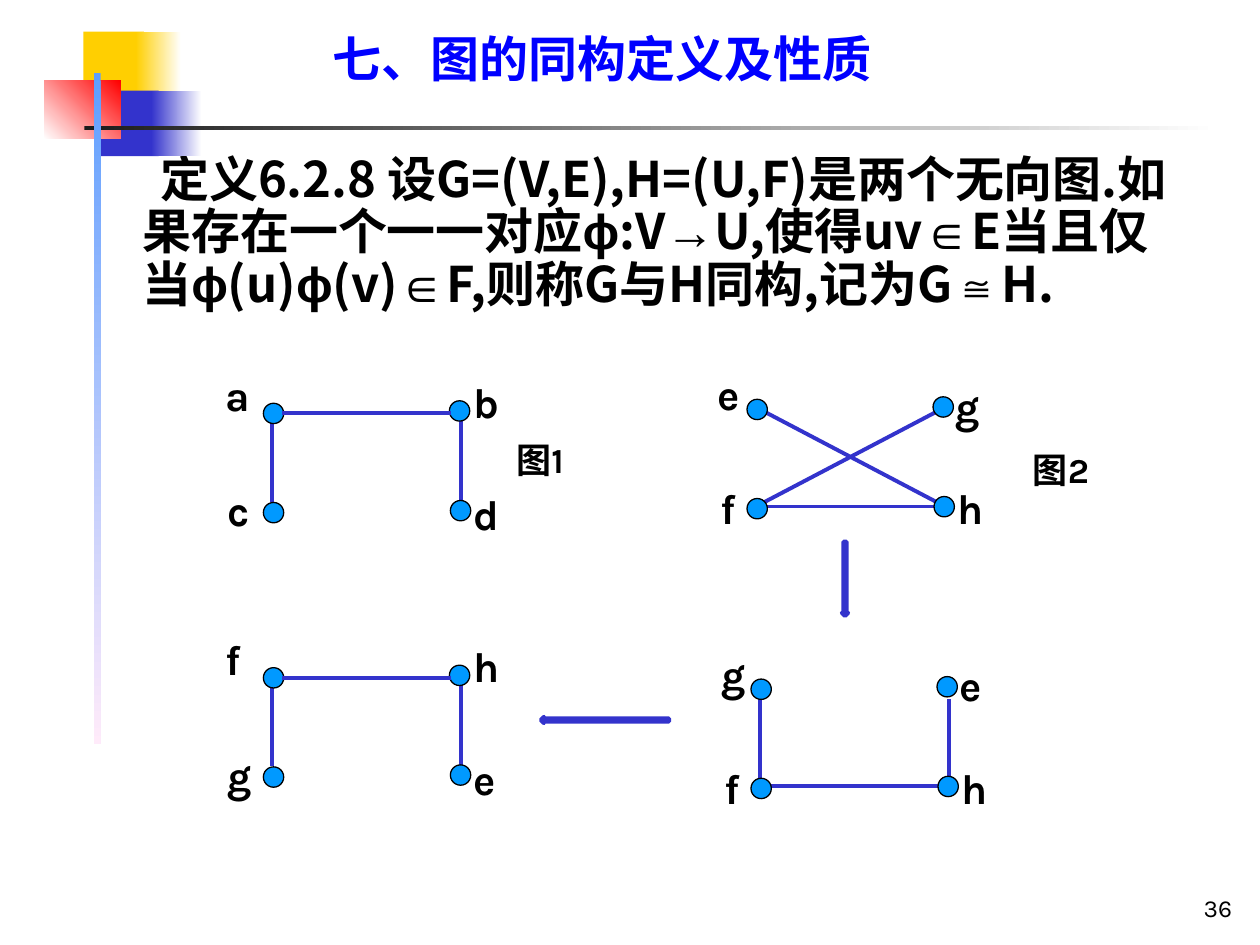
from dataclasses import dataclass
from itertools import groupby

from lxml.etree import SubElement
from pptx import Presentation
from pptx.dml.color import RGBColor as Rgb
from pptx.enum.shapes import MSO_CONNECTOR as Connector, MSO_SHAPE as Preset
from pptx.enum.text import MSO_ANCHOR as Anchor, MSO_AUTO_SIZE as AutoSize, PP_ALIGN as Align
from pptx.oxml.ns import qn
from pptx.util import Cm, Pt


@dataclass(frozen=True)
class Theme:
    title_color: str = "0000FF"
    text_color: str = "000000"
    edge_color: str = "3333CC"
    vertex_color: str = "0099FF"
    arrow_color: str = "00E4A8"
    gold: str = "FFCF01"
    indigo: str = "3333CC"
    red: str = "FF0000"
    white: str = "FFFFFF"
    charcoal: str = "1C1C1C"
    sky: str = "5E9EFF"
    pink: str = "FFEBFA"
    heading_size: int = 28
    heading_spacing: int = 30
    vertex_size: int = 24
    caption_size: int = 20
    number_size: int = 14
    edge_width: float = 2.25
    outline_width: float = 0.75
    title_font: str = "Times New Roman"
    chinese_font: str = "Noto Sans CJK SC"
    symbol_font: str = "Arial"
    label_font: str = "Karla"


SYMBOLS = "ϕ→∈≅"
DEFINITION = ("定义6.2.8 设G=(V,E),H=(U,F)是两个无向图.如果存在一个一一对应ϕ:V→U,"
              "使得uv∈E当且仅当ϕ(u)ϕ(v)∈F,则称G与H同构,记为G≅H.")

# All offsets below are in cm from the top left vertex of a graph.
VERTICES = [(0, 0), (3.75, -0.05), (0, 2), (3.77, 1.96)]
EDGES = {
    "top": (0.38, 0.2, 3.78, 0.2),
    "bottom": (0.38, 2.16, 3.78, 2.16),
    "left": (0.18, 0.18, 0.18, 1.98),
    "right": (3.99, 0.2, 3.99, 2.18),
    "left from below": (0.18, 2.16, 0.18, 0.41),
    "right from below": (3.99, 0.41, 3.99, 2.16),
    "rising": (0.18, 2.16, 3.99, 0.16),
    "falling": (0.18, 0.16, 3.99, 2.16),
}
LEFT_LABELS = [(-1.02, -0.81), (3.99, -0.67), (-0.97, 1.52), (3.99, 1.6)]
RIGHT_LABELS = [(-0.84, -0.74), (3.95, -0.51), (-0.78, 1.55), (3.99, 1.55)]


class SlideBuilder:
    def __init__(self, slide, theme):
        self.slide = slide
        self.theme = theme

    def run(self, paragraph, text, size, font, color=None, bold=True, east_asian=None):
        run = paragraph.add_run()
        run.text = text
        run.font.size = Pt(size)
        run.font.bold = bold
        run.font.color.rgb = Rgb.from_string(color or self.theme.text_color)
        run.font.name = font
        SubElement(run.font._element, qn("a:ea"),
                   typeface=east_asian or self.theme.chinese_font)

    def heading(self, placeholder, left, top, width, height, margin=0, indent=0):
        """Move a placeholder, strip its bullet and return its first paragraph."""
        placeholder.left, placeholder.top = Cm(left), Cm(top)
        placeholder.width, placeholder.height = Cm(width), Cm(height)
        frame = placeholder.text_frame
        frame.margin_left = frame.margin_right = frame.margin_top = frame.margin_bottom = 0
        frame.vertical_anchor = Anchor.TOP
        frame.auto_size = AutoSize.NONE
        paragraph = frame.paragraphs[0]
        paragraph.alignment = Align.LEFT
        paragraph.line_spacing = Pt(self.theme.heading_spacing)
        paragraph.space_before = Pt(0)
        properties = paragraph._p.get_or_add_pPr()
        properties.set("marL", str(Cm(margin)))
        properties.set("indent", str(Cm(indent)))
        SubElement(properties, qn("a:buNone"))
        return paragraph

    def title(self, text):
        theme = self.theme
        paragraph = self.heading(self.slide.shapes.title, 6.71, 0.71, 12.4, 1.07)
        self.run(paragraph, text, theme.heading_size, theme.title_font, theme.title_color)

    def definition(self, text):
        theme = self.theme
        paragraph = self.heading(self.slide.placeholders[1], 1.9, 3.12, 22, 3.2,
                                 margin=0.97, indent=0.36)
        for is_symbol, part in groupby(text, key=lambda letter: letter in SYMBOLS):
            font = theme.symbol_font if is_symbol else theme.chinese_font
            self.run(paragraph, "".join(part), theme.heading_size, font, east_asian=font)

    def label(self, text, left, top, width, height, size, bold=True,
              align=Align.LEFT, anchor=Anchor.TOP):
        box = self.slide.shapes.add_textbox(Cm(left), Cm(top), Cm(width), Cm(height))
        frame = box.text_frame
        frame.word_wrap = True
        frame.vertical_anchor = anchor
        paragraph = frame.paragraphs[0]
        paragraph.alignment = align
        self.run(paragraph, text, size, self.theme.label_font, bold=bold)

    def shape(self, preset, left, top, width, height, fill, line=None, line_width=0):
        shape = self.slide.shapes.add_shape(preset, Cm(left), Cm(top), Cm(width), Cm(height))
        shape.shadow.inherit = False
        shape.fill.solid()
        shape.fill.fore_color.rgb = Rgb.from_string(fill)
        if line:
            shape.line.color.rgb = Rgb.from_string(line)
            shape.line.width = Pt(line_width)
        else:
            shape.line.fill.background()
        return shape

    def gradient(self, left, top, width, height, start, end, angle=0):
        """Draw a rectangle fading along a counter-clockwise angle."""
        fill = self.shape(Preset.RECTANGLE, left, top, width, height, start).fill
        fill.gradient()
        fill.gradient_angle = angle
        for stop, color in zip(fill.gradient_stops, (start, end)):
            stop.color.rgb = Rgb.from_string(color)

    def arrow(self, preset, left, top, width, height):
        theme = self.theme
        arrow = self.shape(preset, left, top, width, height,
                           theme.arrow_color, theme.edge_color, theme.edge_width)
        arrow.adjustments[0], arrow.adjustments[1] = 0.5, 0.5

    def edge(self, x1, y1, x2, y2):
        edge = self.slide.shapes.add_connector(
            Connector.STRAIGHT, Cm(x1), Cm(y1), Cm(x2), Cm(y2))
        edge.line.color.rgb = Rgb.from_string(self.theme.edge_color)
        edge.line.width = Pt(self.theme.edge_width)
        SubElement(edge._element.spPr, qn("a:effectLst"))

    def graph(self, x, y, names, label_offsets, edges, edges_above=()):
        """Draw four labelled vertices; edges_above lie over the vertices."""
        theme = self.theme

        def connect(chosen):
            for name in chosen:
                x1, y1, x2, y2 = EDGES[name]
                self.edge(x + x1, y + y1, x + x2, y + y2)

        connect(edges)
        for dx, dy in VERTICES:
            self.shape(Preset.OVAL, x + dx, y + dy, 0.41, 0.41,
                       theme.vertex_color, theme.text_color, theme.outline_width)
        connect(edges_above)
        for name, (dx, dy) in zip(names, label_offsets):
            self.label(name, x + dx, y + dy, 1.07, 1.27, theme.vertex_size)

    def decoration(self):
        theme = self.theme
        self.shape(Preset.RECTANGLE, 1.68, 0.64, 1.22, 1.32, theme.gold)
        self.gradient(2.74, 0.64, 0.91, 1.32, theme.gold, theme.white)
        self.shape(Preset.RECTANGLE, 2.03, 1.83, 1.17, 1.32, theme.indigo)
        self.gradient(3.05, 1.83, 1.02, 1.32, theme.indigo, theme.white)
        self.gradient(0.89, 1.63, 1.55, 1.17, theme.white, theme.red, angle=45)
        self.gradient(1.7, 2.54, 22.86, 0.08, theme.charcoal, theme.white)
        self.gradient(1.9, 1.47, 0.13, 13.54, theme.sky, theme.pink, angle=270)


def main():
    deck = Presentation()
    deck.slide_width, deck.slide_height = Cm(25.4), Cm(19.05)
    theme = Theme()
    page = SlideBuilder(deck.slides.add_slide(deck.slide_layouts[1]), theme)

    page.decoration()
    page.title("七、图的同构定义及性质")
    page.definition(DEFINITION)
    page.label("36", 19.81, 17.45, 5.28, 1.27, theme.number_size, bold=False,
               align=Align.RIGHT, anchor=Anchor.BOTTOM)

    page.graph(5.31, 8.13, "abcd", LEFT_LABELS, ["left", "right"], ["top"])
    page.label("图1", 10.16, 8.71, 1.78, 1.12, theme.caption_size)
    page.graph(15.06, 8.05, "egfh", RIGHT_LABELS, ["bottom", "rising", "falling"])
    page.label("图2", 20.57, 8.92, 1.78, 1.12, theme.caption_size)
    page.arrow(Preset.DOWN_ARROW, 16.97, 10.92, 0.13, 1.5)
    page.graph(15.14, 13.69, "gefh", RIGHT_LABELS,
               ["bottom", "left from below", "right from below"])
    page.arrow(Preset.LEFT_ARROW, 10.9, 14.45, 2.59, 0.13)
    page.graph(5.31, 13.46, "fhge", LEFT_LABELS, ["left", "right"], ["top"])

    deck.save("out.pptx")


if __name__ == "__main__":
    main()
